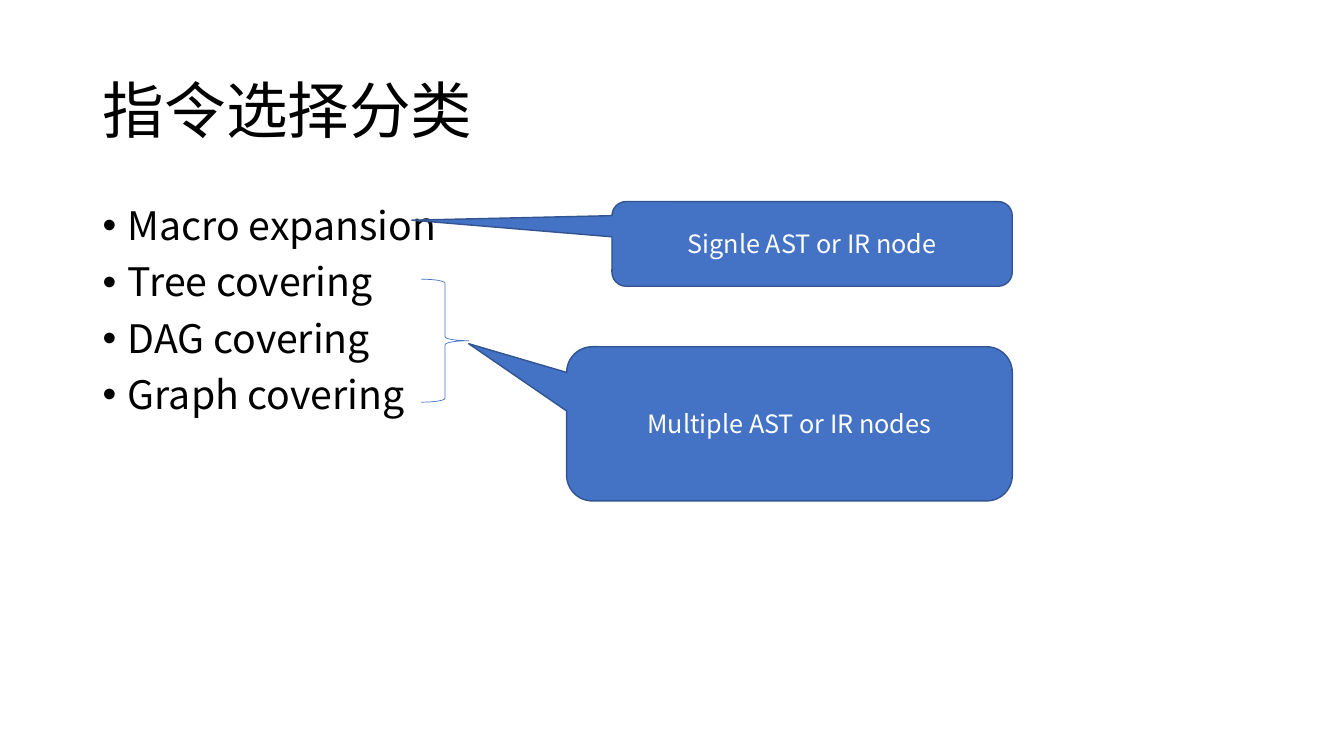
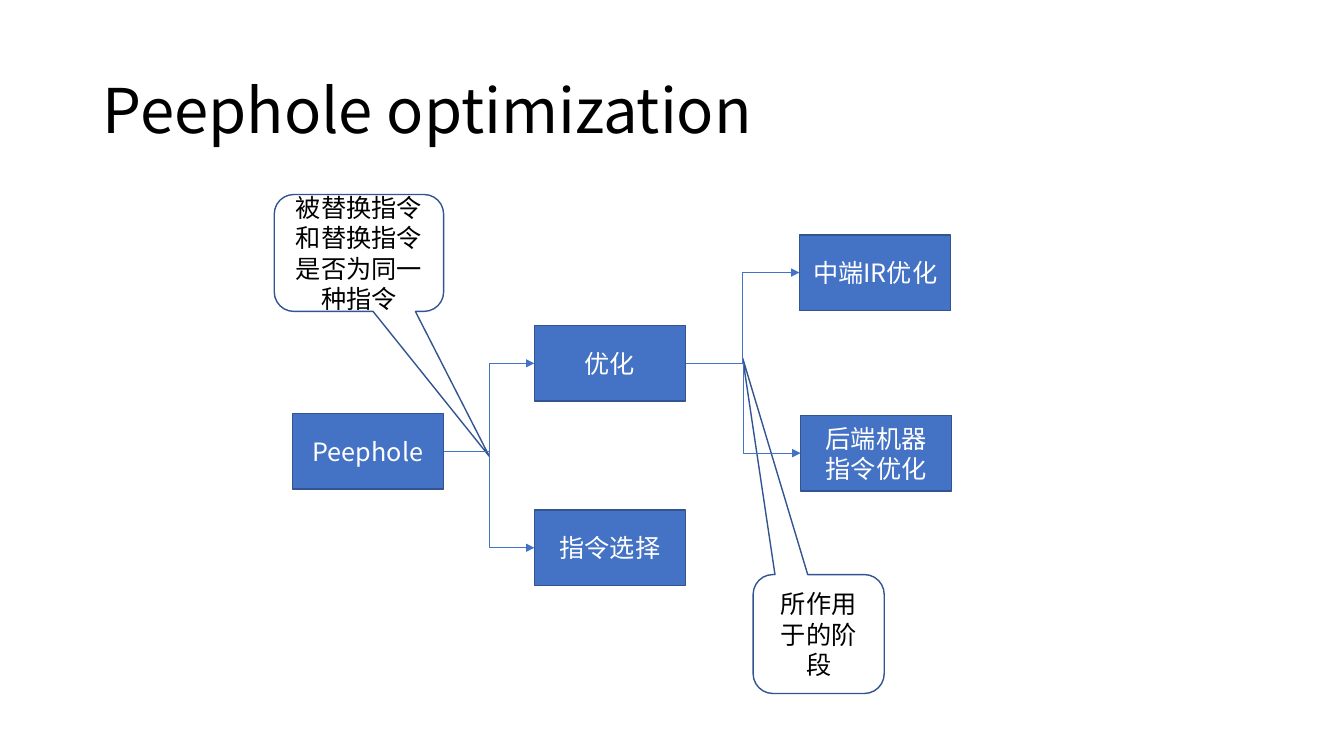
from lxml.etree import SubElement
from pptx import Presentation
from pptx.dml.color import RGBColor
from pptx.enum.shapes import MSO_CONNECTOR, MSO_SHAPE
from pptx.enum.text import MSO_ANCHOR, MSO_AUTO_SIZE, PP_ALIGN
from pptx.oxml.ns import qn
from pptx.util import Inches, Pt

FONT = "Noto Sans CJK SC"
COLORS = {"text": "000000", "light": "FFFFFF", "blue": "4472C4", "outline": "325491"}
TITLE_ONLY = 5
NODE_SIZE = (1.5, 0.75)
RIGHT_SIDE, LEFT_SIDE = 3, 1


def color(name):
    return RGBColor.from_string(COLORS[name])


def format_text(frame, size, text_color, alignment, line_spacing=None):
    for para in frame.paragraphs:
        para.alignment = alignment
        if line_spacing:
            para.line_spacing = line_spacing
        for span in para.runs:
            span.font.size = Pt(size)
            span.font.name = FONT
            span.font.color.rgb = color(text_color)
            SubElement(span.font._element, qn("a:ea"), typeface=FONT)


def add_page(deck, title):
    page = deck.slides.add_slide(deck.slide_layouts[TITLE_ONLY])
    box = page.shapes.title
    box.left, box.top, box.width, box.height = map(Inches, (0.92, 0.4, 11.5, 1.45))
    frame = box.text_frame
    frame.text = title
    frame.auto_size = MSO_AUTO_SIZE.NONE
    frame.vertical_anchor = MSO_ANCHOR.MIDDLE
    format_text(frame, 44, "text", PP_ALIGN.LEFT, 0.9)
    return page


def add_bullets(page, place, items):
    frame = page.shapes.add_textbox(*map(Inches, place)).text_frame
    frame.word_wrap = True
    frame.text = "\n".join(items)
    for index, para in enumerate(frame.paragraphs):
        para.space_before = Pt(10 if index else 0)
        properties = para._p.get_or_add_pPr()
        properties.set("marL", str(Inches(0.25)))
        properties.set("indent", str(Inches(-0.25)))
        SubElement(properties, qn("a:buFont"), typeface="Arial")
        SubElement(properties, qn("a:buChar"), char="•")
    format_text(frame, 28, "text", PP_ALIGN.LEFT, 0.9)


def add_box(page, kind, place, text, fill="blue", text_color="light"):
    box = page.shapes.add_shape(kind, *map(Inches, place))
    box.shadow.inherit = False
    box.fill.solid()
    box.fill.fore_color.rgb = color(fill)
    box.line.color.rgb = color("outline")
    box.line.width = Pt(1)
    frame = box.text_frame
    frame.word_wrap = True
    frame.vertical_anchor = MSO_ANCHOR.MIDDLE
    frame.text = text
    format_text(frame, 18, text_color, PP_ALIGN.CENTER)
    return box


def add_node(page, left, top, text):
    return add_box(page, MSO_SHAPE.RECTANGLE, (left, top, *NODE_SIZE), text)


def add_callout(page, place, tip, text, **colors):
    box = add_box(page, MSO_SHAPE.ROUNDED_RECTANGULAR_CALLOUT, place, text, **colors)
    box.adjustments[0], box.adjustments[1] = tip


def add_brace(page, place):
    brace = page.shapes.add_shape(MSO_SHAPE.RIGHT_BRACE, *map(Inches, place))
    brace.shadow.inherit = False
    brace.fill.background()
    brace.line.color.rgb = color("blue")
    brace.line.width = Pt(0.5)


def add_elbow_arrow(page, source, target):
    arrow = page.shapes.add_connector(MSO_CONNECTOR.ELBOW, 0, 0, 0, 0)
    arrow.begin_connect(source, RIGHT_SIDE)
    arrow.end_connect(target, LEFT_SIDE)
    arrow.line.color.rgb = color("blue")
    arrow.line.width = Pt(0.5)
    SubElement(arrow.line._get_or_add_ln(), qn("a:tailEnd"), type="triangle")
    SubElement(arrow._element.spPr, qn("a:effectLst"))


def build_categories(deck):
    page = add_page(deck, "指令选择分类")
    add_bullets(page, (0.92, 2, 11.5, 4.76),
                ["Macro expansion", "Tree covering", "DAG covering", "Graph covering"])
    add_callout(page, (6.07, 2, 3.97, 0.84), (-1.0, -0.28), "Signle AST or IR node")
    add_brace(page, (4.18, 2.77, 0.47, 1.22))
    add_callout(page, (5.62, 3.44, 4.42, 1.53), (-0.72, -0.52), "Multiple AST or IR nodes")


def build_peephole(deck):
    page = add_page(deck, "Peephole optimization")
    peephole = add_node(page, 2.9, 4.1, "Peephole")
    optimization = add_node(page, 5.3, 3.23, "优化")
    selection = add_node(page, 5.3, 5.06, "指令选择")
    middle_end = add_node(page, 7.93, 2.33, "中端IR优化")
    back_end = add_node(page, 7.94, 4.12, "后端机器\n指令优化")
    white = {"fill": "light", "text_color": "text"}
    add_callout(page, (2.72, 1.93, 1.68, 1.16), (0.77, 1.74),
                "被替换指令和替换指令是否为同一种指令", **white)
    for target in (optimization, selection):
        add_elbow_arrow(page, peephole, target)
    add_callout(page, (7.47, 5.7, 1.3, 1.18), (-0.58, -2.32), "所作用于的阶段", **white)
    for target in (middle_end, back_end):
        add_elbow_arrow(page, optimization, target)


def main():
    deck = Presentation()
    deck.slide_width, deck.slide_height = Inches(13.33), Inches(7.5)
    build_categories(deck)
    build_peephole(deck)
    deck.save("out.pptx")


if __name__ == "__main__":
    main()
